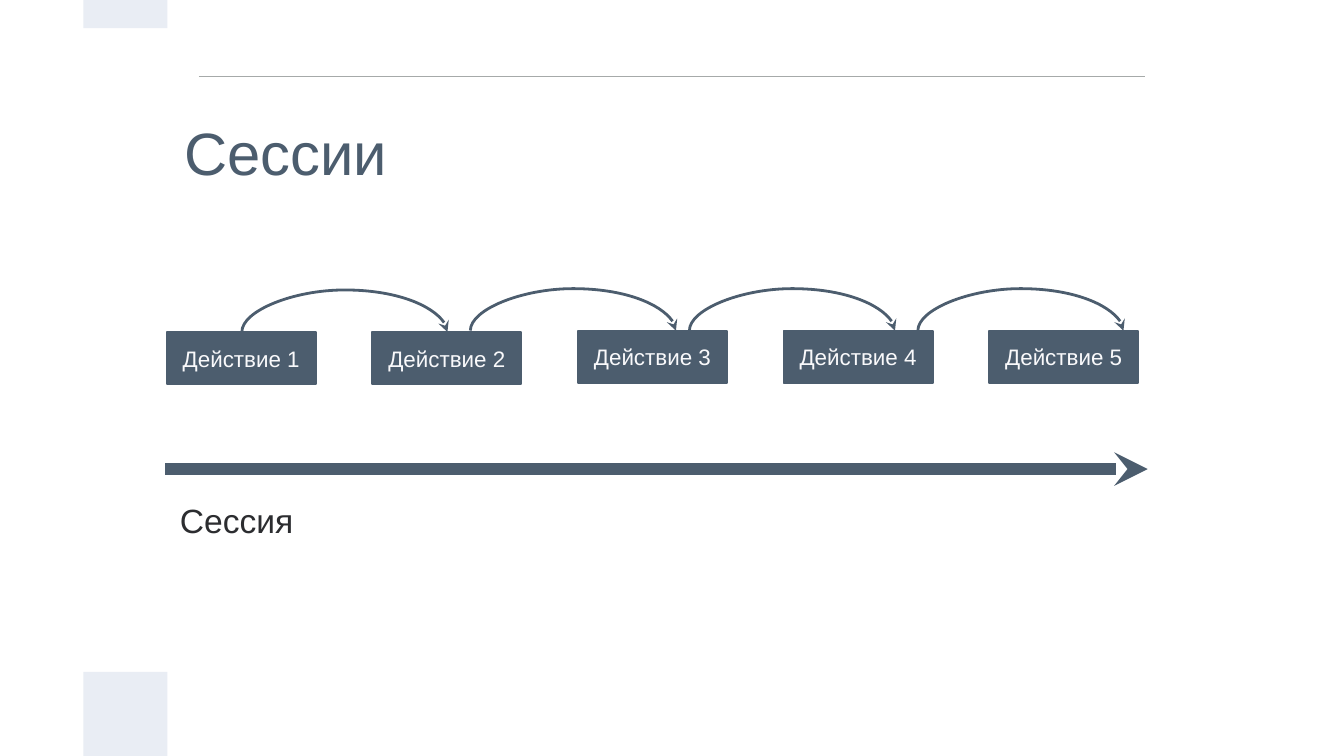
import dataclasses

import pptx
import pptx.dml.color
import pptx.enum.shapes
import pptx.enum.text
import pptx.oxml.ns
import pptx.oxml.xmlchemy
import pptx.util

COLUMNS, ROWS = 100, 56.25
CELL = pptx.util.Inches(0.1)
SLATE, PALE, GRAY, INK, WHITE = "4C5D6E", "E9EDF4", "A6AAA9", "2C2D30", "F9F9FB"
ACTIONS = [f"Действие {number}" for number in range(1, 6)]
RECTANGLE = pptx.enum.shapes.MSO_SHAPE.RECTANGLE
CONNECTOR = pptx.enum.shapes.MSO_CONNECTOR
ALIGN = pptx.enum.text.PP_ALIGN
ANCHOR = pptx.enum.text.MSO_ANCHOR


@dataclasses.dataclass
class Box:
    left: float
    top: float
    width: float
    height: float

    def inner(self, left, top, width, height):
        return Box(self.left + left, self.top + top, width, height)

    def lengths(self):
        return [grid(value) for value in (self.left, self.top, self.width, self.height)]


def grid(cells):
    return round(cells * CELL)


def color(value):
    return pptx.dml.color.RGBColor.from_string(value)


def element(tag, **attributes):
    node = pptx.oxml.xmlchemy.OxmlElement(tag)
    for name, value in attributes.items():
        node.set(name, value)
    return node


def write(shape, text, size, ink, align, anchor, margins):
    frame = shape.text_frame
    frame.word_wrap = True
    frame.auto_size = pptx.enum.text.MSO_AUTO_SIZE.NONE
    frame.vertical_anchor = anchor
    frame.margin_left = frame.margin_right = grid(margins[0])
    frame.margin_top = frame.margin_bottom = grid(margins[1])
    paragraph = frame.paragraphs[0]
    paragraph.text = text
    paragraph.alignment = align
    paragraph.font.name = "Arial"
    paragraph.font.size = pptx.util.Pt(size)
    paragraph.font.color.rgb = color(ink)


def add_block(slide, box, fill):
    shape = slide.shapes.add_shape(RECTANGLE, *box.lengths())
    shape.shadow.inherit = False
    shape.fill.solid()
    shape.fill.fore_color.rgb = color(fill)
    shape.line.fill.background()
    return shape


def add_line(slide, kind, ends, ink, weight, arrow=False):
    connector = slide.shapes.add_connector(kind, *ends)
    connector.line.color.rgb = color(ink)
    connector.line.width = pptx.util.Pt(weight)
    properties = connector._element.spPr
    if arrow:
        outline = properties.find(pptx.oxml.ns.qn("a:ln"))
        outline.append(element("a:tailEnd", type="stealth"))
    properties.append(element("a:effectLst"))
    return connector


def add_arc(slide, left, base, span, rise):
    center, middle = grid(left + span / 2), grid(base)
    half_span, half_depth = grid(span / 2), 300
    ends = (center + half_depth, middle - half_span, center - half_depth, middle + half_span)
    arc = add_line(slide, CONNECTOR.CURVE, ends, SLATE, 1.5, arrow=True)
    properties = arc._element.spPr
    properties.find(pptx.oxml.ns.qn("a:xfrm")).set("rot", str(270 * 60000))
    geometry = properties.find(pptx.oxml.ns.qn("a:prstGeom"))
    geometry.set("prst", "curvedConnector3")
    bend = round(-100000 * grid(rise) / (2 * half_depth))
    adjustments = geometry.find(pptx.oxml.ns.qn("a:avLst"))
    adjustments.append(element("a:gd", name="adj1", fmla=f"val {bend}"))


def add_decoration(slide, box):
    add_block(slide, box.inner(6.2, 50, 6.25, 6.25), PALE)
    add_block(slide, box.inner(6.2, 0, 6.25, 2.1), PALE)
    ends = [grid(value) for value in (box.left + 14.8, box.top + 5.7, box.left + 85.2, box.top + 5.7)]
    add_line(slide, CONNECTOR.STRAIGHT, ends, GRAY, 0.75)


def add_title(slide, box):
    title = slide.shapes.title
    title.left, title.top, title.width, title.height = box.lengths()
    write(title, "Сессии", 32, SLATE, ALIGN.LEFT, ANCHOR.MIDDLE, (1.3, 1.3))


def add_actions(slide, box):
    width, height, rise = 11.1, 3.9, 2.6
    pitch = (box.width - width) / (len(ACTIONS) - 1)
    tops = [rise + 0.1] * 2 + [rise] * 3
    for index, (action, top) in enumerate(zip(ACTIONS, tops)):
        block = add_block(slide, box.inner(index * pitch, top, width, height), SLATE)
        block.line.color.rgb = color(SLATE)
        block.line.width = pptx.util.Pt(1)
        write(block, action, 12, WHITE, ALIGN.CENTER, ANCHOR.MIDDLE, (1, 0.5))
    arc_starts = (5.6, 22.6, 38.9, 55.9)
    arc_bases = (rise + 0.1, rise, rise, rise)
    for start, base in zip(arc_starts, arc_bases):
        add_arc(slide, box.left + start, box.top + base, pitch, rise)


def add_session(slide, box):
    ends = [grid(value) for value in (box.left, box.top, box.left + box.width, box.top)]
    add_line(slide, CONNECTOR.STRAIGHT, ends, SLATE, 6, arrow=True)
    label = slide.shapes.add_textbox(*box.inner(0.1, 1.3, 22, 3.9).lengths())
    write(label, "Сессия", 18, INK, ALIGN.LEFT, ANCHOR.TOP, (1, 1))


def main():
    presentation = pptx.Presentation()
    presentation.slide_width = grid(COLUMNS)
    presentation.slide_height = grid(ROWS)
    slide = presentation.slides.add_slide(presentation.slide_layouts[5])
    add_decoration(slide, Box(0, 0, COLUMNS, ROWS))
    add_title(slide, Box(12.4, 6.3, 75, 10))
    add_actions(slide, Box(12.4, 22, 72.3, 6.6))
    add_session(slide, Box(12.3, 34.9, 73.1, 5.2))
    presentation.save("out.pptx")


if __name__ == "__main__":
    main()
